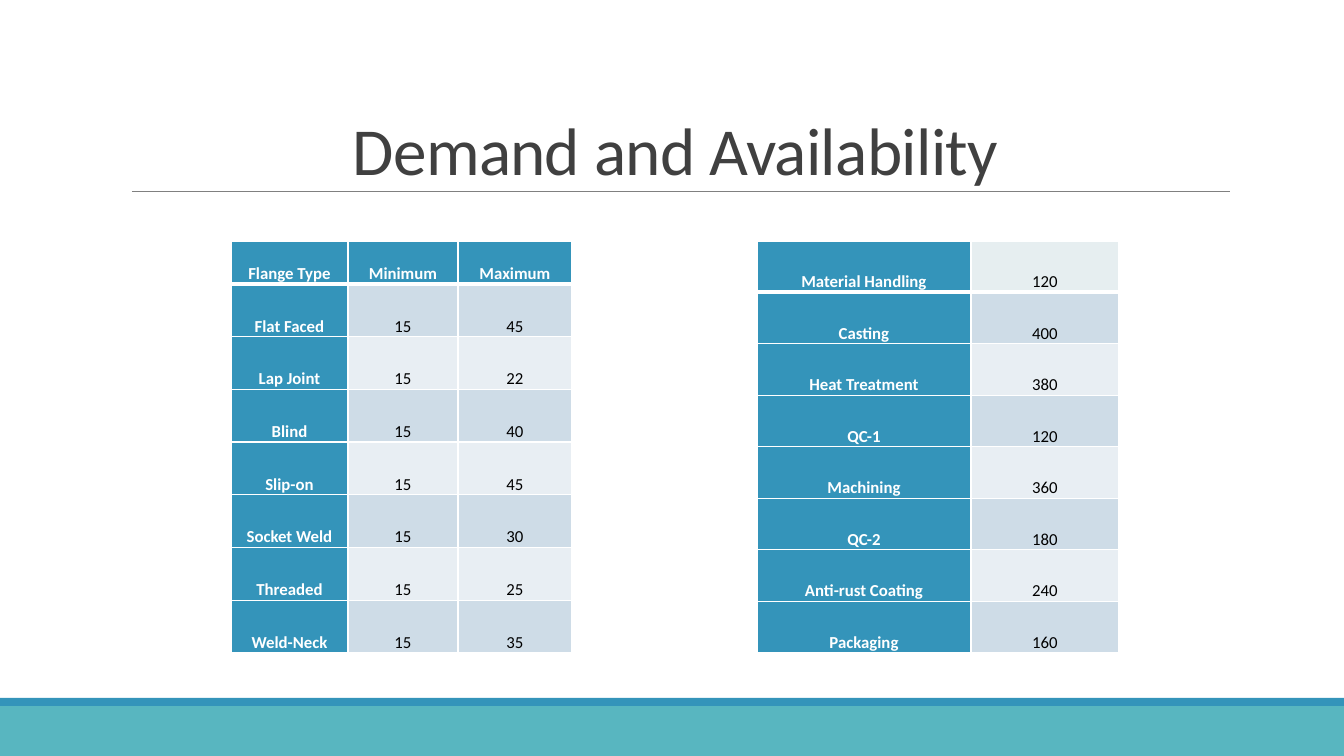
from lxml import etree
from pptx import Presentation
from pptx.dml.color import RGBColor
from pptx.enum.shapes import MSO_CONNECTOR, MSO_SHAPE
from pptx.enum.text import MSO_ANCHOR, MSO_AUTO_SIZE, PP_ALIGN
from pptx.oxml.ns import qn
from pptx.util import Emu, Pt

RECTANGLE = MSO_SHAPE.RECTANGLE
STRAIGHT = MSO_CONNECTOR.STRAIGHT
BOTTOM = MSO_ANCHOR.BOTTOM
CENTER = PP_ALIGN.CENTER
NO_AUTOFIT = MSO_AUTO_SIZE.NONE

PX_PER_INCH = 100.8
SLIDE_W, SLIDE_H = 1344, 756
FONT = "Calibri"
BLUE, TEAL, GRAY = "3494BA", "58B6C0", "808080"
WHITE, BLACK, TITLE_GRAY = "FFFFFF", "000000", "404040"
FIRST_VALUE, DARK_BAND, LIGHT_BAND = "E6EEF0", "CEDCE7", "E8EEF3"

DEMAND = [
    ("Flange Type", "Minimum", "Maximum"),
    ("Flat Faced", "15", "45"),
    ("Lap Joint", "15", "22"),
    ("Blind", "15", "40"),
    ("Slip-on", "15", "45"),
    ("Socket Weld", "15", "30"),
    ("Threaded", "15", "25"),
    ("Weld-Neck", "15", "35"),
]
AVAILABILITY = [
    ("Material Handling", "120"),
    ("Casting", "400"),
    ("Heat Treatment", "380"),
    ("QC-1", "120"),
    ("Machining", "360"),
    ("QC-2", "180"),
    ("Anti-rust Coating", "240"),
    ("Packaging", "160"),
]


def px(length):
    return Emu(round(length * 914400 / PX_PER_INCH))


def rgb(color):
    return RGBColor.from_string(color)


def add_run(paragraph, text, size, color, bold=False):
    run = paragraph.add_run()
    run.text = text
    run.font.name = FONT
    run.font.size = Pt(size)
    run.font.bold = bold
    run.font.color.rgb = rgb(color)
    return run


def add_bar(slide, top, height, color):
    bar = slide.shapes.add_shape(RECTANGLE, 0, px(top), px(SLIDE_W), px(height))
    bar.shadow.inherit = False
    bar.fill.solid()
    bar.fill.fore_color.rgb = rgb(color)
    bar.line.fill.background()


def add_rule(slide, left, right, y):
    rule = slide.shapes.add_connector(STRAIGHT, px(left), px(y), px(right), px(y))
    rule.line.color.rgb = rgb(GRAY)
    rule.line.width = Pt(0.5)
    etree.SubElement(rule._element.spPr, qn("a:effectLst"))


def set_title(slide, text):
    title = slide.shapes.title
    title.left, title.top, title.width, title.height = map(px, (121, 34, 1109, 160))
    frame = title.text_frame
    frame.word_wrap = True
    frame.auto_size = NO_AUTOFIT
    frame.vertical_anchor = BOTTOM
    paragraph = frame.paragraphs[0]
    paragraph.alignment = CENTER
    paragraph.line_spacing = 0.85
    run = add_run(paragraph, text, 48, TITLE_GRAY)
    run.font._element.set("spc", "-50")


def set_borders(cell, top, bottom):
    """Draw white borders; top and bottom are widths in points."""
    properties = cell._tc.get_or_add_tcPr()
    widths = {"lnL": 1, "lnR": 1, "lnT": top, "lnB": bottom}
    for position, (side, width) in enumerate(widths.items()):
        line = etree.Element(qn(f"a:{side}"), w=str(Pt(width)))
        fill = etree.SubElement(line, qn("a:solidFill"))
        etree.SubElement(fill, qn("a:srgbClr"), val=WHITE)
        properties.insert(position, line)


def fill_cell(cell, text, color, is_label):
    cell.fill.solid()
    cell.fill.fore_color.rgb = rgb(color)
    cell.vertical_anchor = BOTTOM
    cell.margin_left = cell.margin_right = px(7)
    cell.margin_top = cell.margin_bottom = 0
    paragraph = cell.text_frame.paragraphs[0]
    paragraph.alignment = CENTER
    paragraph.line_spacing = 1.5
    add_run(paragraph, text, 12, WHITE if is_label else BLACK, is_label)


def value_color(row):
    if row == 0:
        return FIRST_VALUE
    return DARK_BAND if row % 2 else LIGHT_BAND


def add_data_table(slide, left, column_widths, first_height, rows, has_header):
    """Add a table with a label column; the rows below the first share its height."""
    top, height = 241, 412
    frame = slide.shapes.add_table(
        len(rows), len(column_widths),
        px(left), px(top), px(sum(column_widths)), px(height),
    )
    table = frame.table
    for column, width in zip(table.columns, column_widths):
        column.width = px(width)
    other_height = (height - first_height) / (len(rows) - 1)
    for r, values in enumerate(rows):
        table.rows[r].height = px(other_height if r else first_height)
        for c, text in enumerate(values):
            is_label = c == 0 or (has_header and r == 0)
            cell = table.cell(r, c)
            fill_cell(cell, text, BLUE if is_label else value_color(r), is_label)
            set_borders(cell, top=3 if r == 1 else 1, bottom=3 if r == 0 else 1)


def main():
    presentation = Presentation()
    presentation.slide_width = px(SLIDE_W)
    presentation.slide_height = px(SLIDE_H)
    slide = presentation.slides.add_slide(presentation.slide_layouts[5])
    slide.background.fill.solid()
    slide.background.fill.fore_color.rgb = rgb(WHITE)

    add_bar(slide, 706, 50, TEAL)
    add_bar(slide, 698, 8, BLUE)
    add_rule(slide, 132, 1230, 191)
    set_title(slide, "Demand and Availability")
    add_data_table(slide, 757, (214, 148), 51, AVAILABILITY, has_header=False)
    add_data_table(slide, 231, (117, 110, 114), 43, DEMAND, has_header=True)
    presentation.save("out.pptx")


if __name__ == "__main__":
    main()
